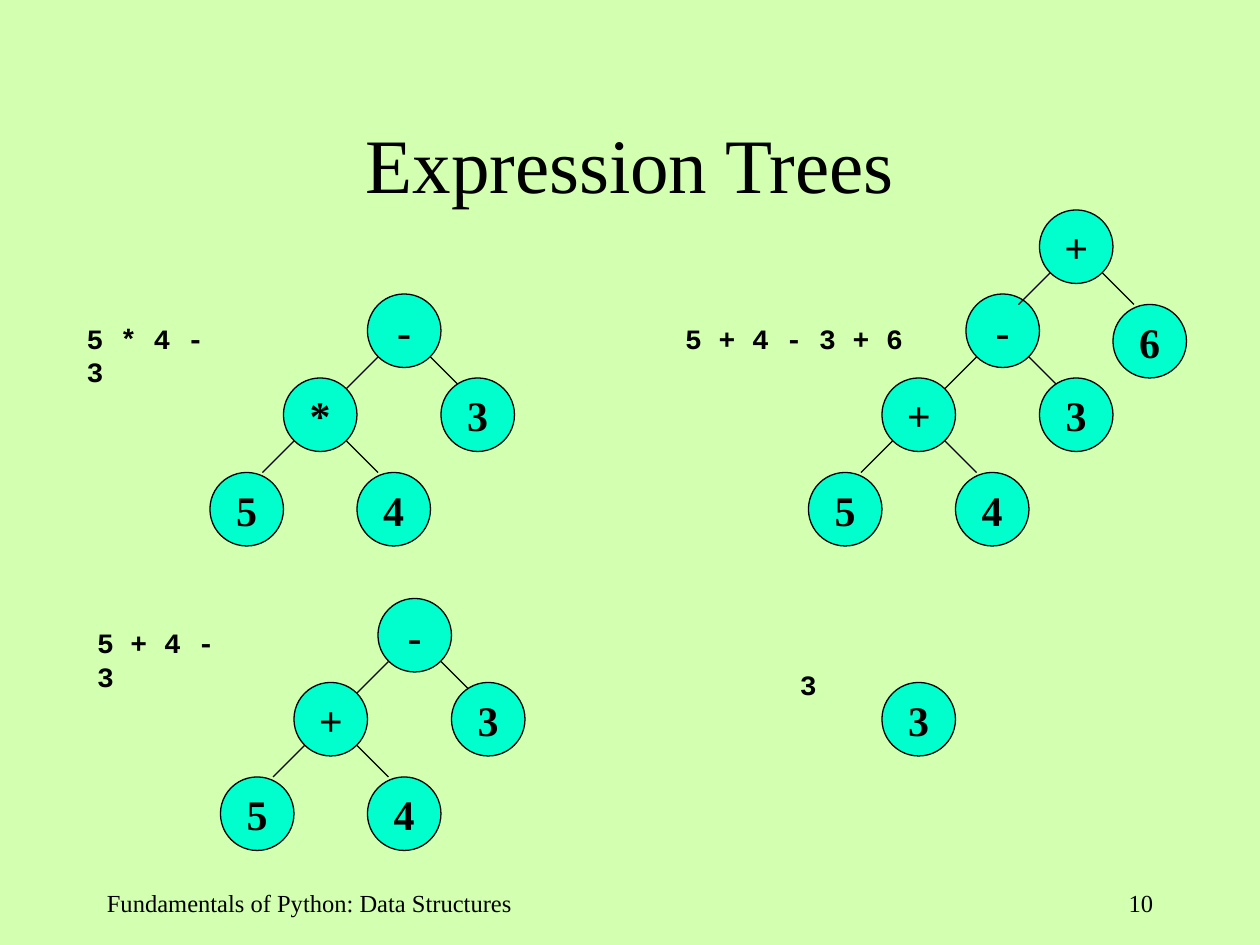
import dataclasses
import pptx
import pptx.dml.color
import pptx.enum.shapes
import pptx.enum.text
import pptx.oxml.ns
import pptx.util
import lxml.etree

Pt = pptx.util.Pt
Color = pptx.dml.color.RGBColor
Align = pptx.enum.text.PP_ALIGN
Anchor = pptx.enum.text.MSO_ANCHOR


@dataclasses.dataclass(frozen=True)
class Theme:
    background: Color = Color(0xD2, 0xFF, 0xB0)
    node: Color = Color(0x00, 0xFF, 0xCC)
    ink: Color = Color(0, 0, 0)
    serif: str = "Times New Roman"
    code: str = "Courier New"
    title_size: int = 44
    node_size: int = 24
    code_size: int = 16
    footer_size: int = 14
    line_width: float = 0.75
    diameter: int = 42


class TreeSlide:
    def __init__(self, deck, theme):
        self.theme = theme
        self.page = deck.slides.add_slide(deck.slide_layouts[6])
        fill = self.page.background.fill
        fill.solid()
        fill.fore_color.rgb = theme.background

    def set_text(self, shape, text, font, size, bold=False, align=Align.LEFT):
        shape.text_frame.text = text
        para = shape.text_frame.paragraphs[0]
        para.alignment = align
        span = para.runs[0]
        span.font.name = font
        span.font.size = Pt(size)
        span.font.bold = bold
        span.font.color.rgb = self.theme.ink

    def label(self, text, left, top, width, height, size, align=Align.LEFT,
              anchor=Anchor.TOP):
        box = self.page.shapes.add_textbox(Pt(left), Pt(top), Pt(width), Pt(height))
        box.text_frame.word_wrap = True
        box.text_frame.vertical_anchor = anchor
        self.set_text(box, text, self.theme.serif, size, align=align)

    def expression(self, text, left, top, width):
        box = self.page.shapes.add_textbox(Pt(left), Pt(top), Pt(width), Pt(26.64))
        box.text_frame.word_wrap = False
        box.text_frame.auto_size = pptx.enum.text.MSO_AUTO_SIZE.SHAPE_TO_FIT_TEXT
        self.set_text(box, text, self.theme.code, self.theme.code_size, bold=True)

    def node(self, text, left, top):
        diameter = Pt(self.theme.diameter)
        circle = self.page.shapes.add_shape(
            pptx.enum.shapes.MSO_SHAPE.OVAL, Pt(left), Pt(top), diameter, diameter)
        circle.shadow.inherit = False
        circle.fill.solid()
        circle.fill.fore_color.rgb = self.theme.node
        circle.line.color.rgb = self.theme.ink
        circle.line.width = Pt(self.theme.line_width)
        circle.text_frame.word_wrap = False
        circle.text_frame.vertical_anchor = Anchor.MIDDLE
        self.set_text(circle, text, self.theme.serif, self.theme.node_size,
                      bold=True, align=Align.CENTER)

    def branches(self, left, top):
        for start, end in ((6, -12), (36, 54)):
            line = self.page.shapes.add_connector(
                pptx.enum.shapes.MSO_CONNECTOR.STRAIGHT,
                Pt(left + start), Pt(top + 36), Pt(left + end), Pt(top + 54))
            line.line.color.rgb = self.theme.ink
            line.line.width = Pt(self.theme.line_width)
            lxml.etree.SubElement(line._element.spPr,
                                  pptx.oxml.ns.qn("a:effectLst"))

    def tree(self, operator, left, top):
        self.node("-", left, top)
        self.branches(left, top)
        inner_left, inner_top = left - 48, top + 48
        self.node(operator, inner_left, inner_top)
        self.branches(inner_left, inner_top)
        self.node("5", inner_left - 42, inner_top + 54)
        self.node("4", inner_left + 42, inner_top + 54)
        self.node("3", left + 42, top + 48)


def main():
    deck = pptx.Presentation()
    deck.slide_width, deck.slide_height = Pt(720), Pt(540)
    theme = Theme()
    slide = TreeSlide(deck, theme)

    slide.label("Expression Trees", 54, 48, 612, 90, theme.title_size,
                Align.CENTER, Anchor.MIDDLE)

    trees = (
        ("5 * 4 - 3", "*", 210, 168, 100),
        ("5 + 4 - 3", "+", 216, 342, 100),
        ("5 + 4 - 3 + 6", "+", 552, 168, 139),
    )
    for expression, operator, left, top, width in trees:
        slide.expression(expression, left - 167.6, top + 12, width)
        slide.tree(operator, left, top)

    slide.node("+", 594, 120)
    slide.node("6", 636, 174)
    slide.branches(594, 120)

    slide.node("3", 504, 390)
    slide.expression("3", 450, 378, 24)

    slide.label("Fundamentals of Python: Data Structures", 54, 504, 282, 36,
                theme.footer_size)
    slide.label("10", 516, 504, 150, 36, theme.footer_size, Align.RIGHT)
    deck.save("out.pptx")


if __name__ == "__main__":
    main()
